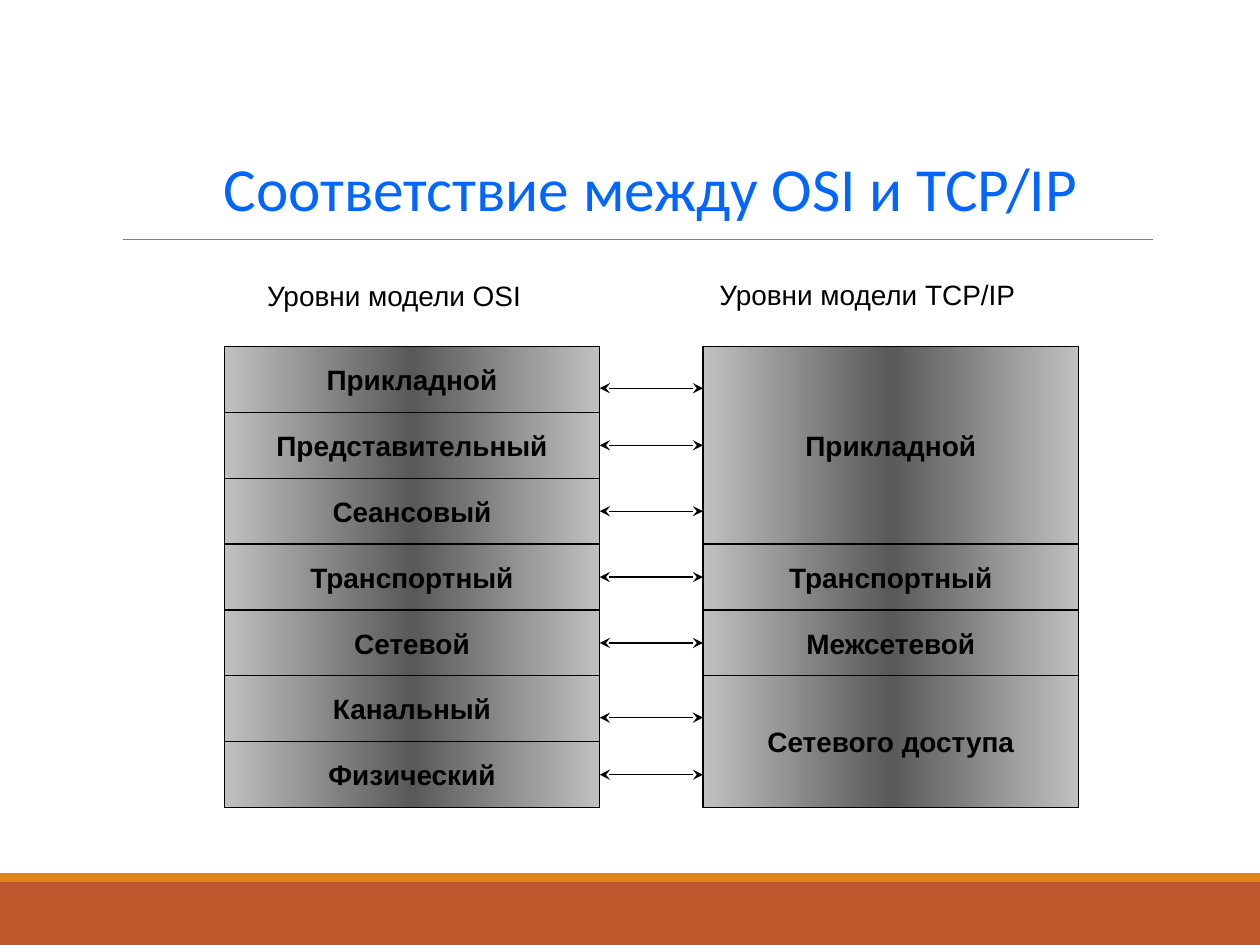
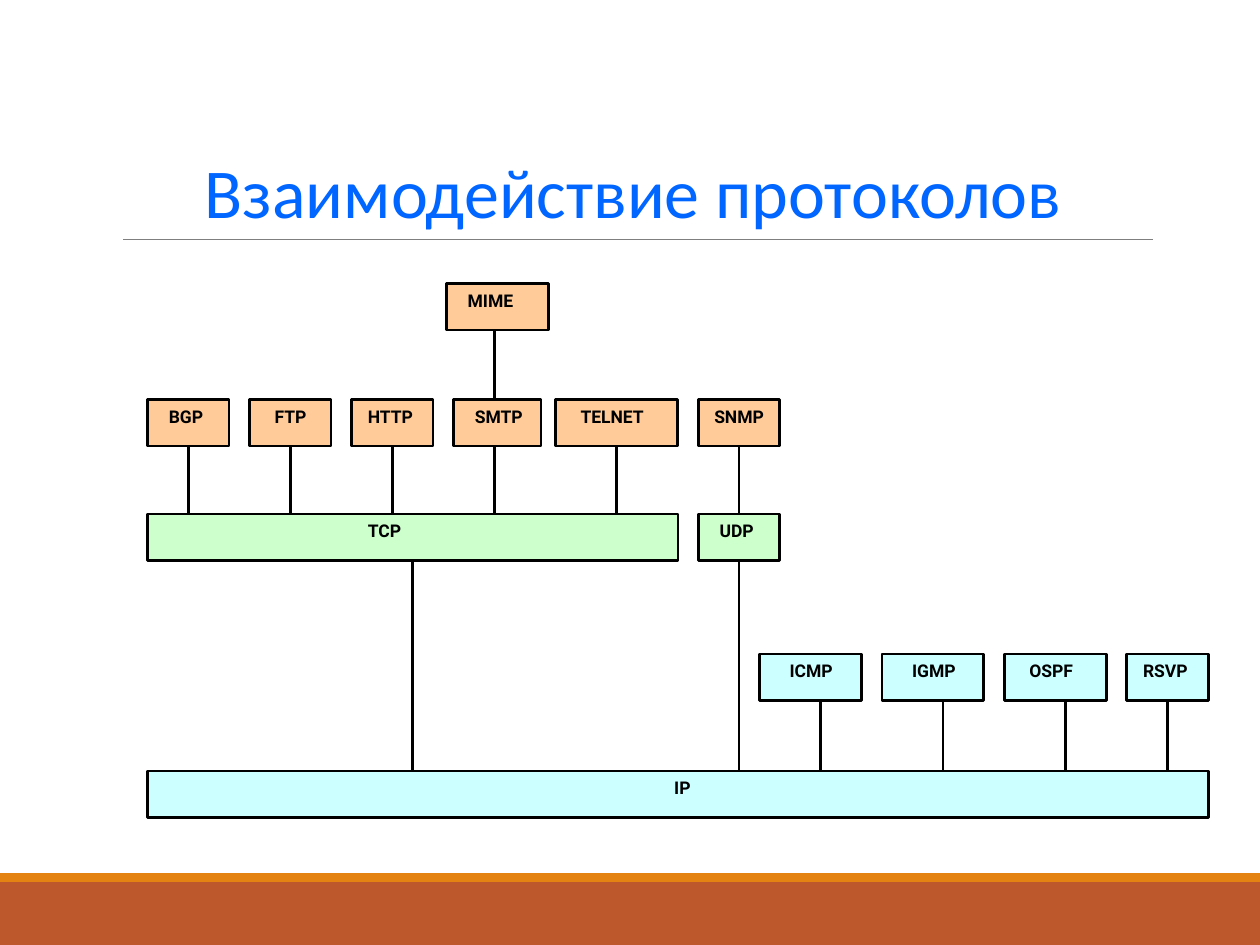
from typing import NamedTuple

from lxml import etree
from pptx import Presentation
from pptx.dml.color import RGBColor
from pptx.enum.shapes import MSO_CONNECTOR, MSO_SHAPE
from pptx.enum.text import MSO_ANCHOR, MSO_AUTO_SIZE, PP_ALIGN
from pptx.oxml.ns import qn
from pptx.util import Inches, Pt

RECT = MSO_SHAPE.RECTANGLE
STRAIGHT = MSO_CONNECTOR.STRAIGHT
LEFT, CENTER = PP_ALIGN.LEFT, PP_ALIGN.CENTER
TOP, MIDDLE, BOTTOM = MSO_ANCHOR.TOP, MSO_ANCHOR.MIDDLE, MSO_ANCHOR.BOTTOM
SITE_TOP, SITE_LEFT, SITE_BOTTOM, SITE_RIGHT = range(4)
TITLE_ONLY = 5

SLIDE_W, SLIDE_H = 10, 7.5
BLACK = "000000"
TITLE_BLUE = "0066FF"
BAND_BROWN, BAND_ORANGE, RULE_GREY = "BD582C", "E48312", "7F7F7F"
STEEL = ((0, "C0C0C0"), (50, "595959"), (100, "C0C0C0"))
PEACH, GREEN, AQUA = "FFCC99", "CCFFCC", "CCFFFF"

# Layer stacks: seven equal rows in two columns
STACK_TOP, ROW_H = 2.75, 3.66 / 7
OSI_X, TCPIP_X, STACK_W = 1.78, 5.58, 2.98

# Protocol map: 52 columns across the IP bar
MAP_X, COL_W = 1.17, 8.42 / 52
LEVEL_TOPS = (2.25, 3.17, 4.08, 5.19, 6.12)
BOX_H = 0.37
BOX_INSET = 0.1


class Layer(NamedTuple):
    name: str
    row: int
    rows: int = 1

    @property
    def middle(self) -> float:
        return self.row + self.rows / 2


class Protocol(NamedTuple):
    name: str
    level: int
    col: float
    cols: float
    fill: str
    indent: float = 0
    align: PP_ALIGN = LEFT

    @property
    def middle(self) -> float:
        return self.col + self.cols / 2


class Link(NamedTuple):
    upper: str
    lower: str
    col: float


OSI_LAYERS = [Layer(name, row) for row, name in enumerate((
    "Прикладной", "Представительный", "Сеансовый", "Транспортный",
    "Сетевой", "Канальный", "Физический"))]
TCPIP_LAYERS = [
    Layer("Прикладной", 0, 3),
    Layer("Транспортный", 3),
    Layer("Межсетевой", 4),
    Layer("Сетевого доступа", 5, 2),
]
ARROW_DROPS = {0: 0.07, 5: 0.07}

PROTOCOLS = [
    Protocol("MIME", 0, 14.65, 5, PEACH, 0.07),
    Protocol("BGP", 1, 0, 4, PEACH, 0.07),
    Protocol("FTP", 1, 5, 4, PEACH, 0.1),
    Protocol("HTTP", 1, 10, 4, PEACH, 0.03),
    Protocol("SMTP", 1, 15, 4.3, PEACH, 0.07),
    Protocol("TELNET", 1, 20, 6, PEACH, 0.1),
    Protocol("SNMP", 1, 27, 4, PEACH, align=CENTER),
    Protocol("TCP", 2, 0, 26, GREEN, 1.65),
    Protocol("UDP", 2, 27, 4, GREEN, 0.07),
    Protocol("ICMP", 3, 30, 5, AQUA, 0.14),
    Protocol("IGMP", 3, 36, 5, AQUA, 0.14),
    Protocol("OSPF", 3, 42, 5, AQUA, 0.1),
    Protocol("RSVP", 3, 48, 4, AQUA, 0.03),
    Protocol("IP", 4, 0, 52, AQUA, 0.07, CENTER),
]
LINKS = [
    Link("MIME", "SMTP", 17),
    Link("BGP", "TCP", 2),
    Link("FTP", "TCP", 7),
    Link("HTTP", "TCP", 12),
    Link("SMTP", "TCP", 17),
    Link("TELNET", "TCP", 23),
    Link("SNMP", "UDP", 29),
    Link("TCP", "IP", 13),
    Link("UDP", "IP", 29),
    Link("ICMP", "IP", 33),
    Link("IGMP", "IP", 39),
    Link("OSPF", "IP", 45),
    Link("RSVP", "IP", 50),
]


def rgb(value: str) -> RGBColor:
    return RGBColor.from_string(value)


def write(sp, text: str, *, size: float, font: str, color: str = BLACK,
          bold: bool = False, align=LEFT, anchor=TOP, spacing: float = 1.0,
          insets: tuple = (0.1, 0.05, 0.1, 0.05)) -> None:
    """Fill a shape with one formatted paragraph; insets run left, top, right, bottom."""
    tf = sp.text_frame
    tf.word_wrap = True
    tf.auto_size = MSO_AUTO_SIZE.NONE
    tf.vertical_anchor = anchor
    (tf.margin_left, tf.margin_top,
     tf.margin_right, tf.margin_bottom) = map(Inches, insets)
    p = tf.paragraphs[0]
    p.alignment, p.line_spacing = align, spacing
    r = p.add_run()
    r.text = text
    r.font.size, r.font.name, r.font.bold = Pt(size), font, bold
    r.font.color.rgb = rgb(color)


def add_rect(s, x: float, y: float, w: float, h: float, fill: str | tuple,
             line_width: float = 0):
    """Draw a rectangle with a plain colour or a tuple of gradient stops."""
    sp = s.shapes.add_shape(RECT, *map(Inches, (x, y, w, h)))
    sp.shadow.inherit = False
    if isinstance(fill, str):
        sp.fill.solid()
        sp.fill.fore_color.rgb = rgb(fill)
    else:
        sp.fill.gradient()
        sp.fill.gradient_angle = 0
        stops = sp._element.spPr.find(".//" + qn("a:gsLst"))
        for old in list(stops):
            stops.remove(old)
        for percent, color in fill:
            stop = etree.SubElement(stops, qn("a:gs"), pos=str(percent * 1000))
            etree.SubElement(stop, qn("a:srgbClr"), val=color)
    if line_width:
        sp.line.color.rgb = rgb(BLACK)
        sp.line.width = Pt(line_width)
    else:
        sp.line.fill.background()
    return sp


def add_line(s, x1: float, y1: float, x2: float, y2: float, width: float,
             color: str = BLACK, arrows: bool = False):
    cxn = s.shapes.add_connector(STRAIGHT, *map(Inches, (x1, y1, x2, y2)))
    cxn.line.color.rgb = rgb(color)
    cxn.line.width = Pt(width)
    if arrows:
        ln = cxn.line._get_or_add_ln()
        for end in ("a:headEnd", "a:tailEnd"):
            etree.SubElement(ln, qn(end), type="stealth")
    etree.SubElement(cxn._element.spPr, qn("a:effectLst"))
    return cxn


def add_slide(prs, title: str, size: float, box: tuple):
    """Add a slide with the footer bands, the rule and its title."""
    s = prs.slides.add_slide(prs.slide_layouts[TITLE_ONLY])
    add_rect(s, 0, 7, SLIDE_W, 0.5, BAND_BROWN)
    add_rect(s, 0, 6.93, SLIDE_W, 0.07, BAND_ORANGE)
    add_line(s, 0.98, 1.9, 9.15, 1.9, 0.5, RULE_GREY)
    sp = s.shapes.title
    sp.left, sp.top, sp.width, sp.height = map(Inches, box)
    write(sp, title, size=size, font="Calibri", color=TITLE_BLUE,
          align=CENTER, anchor=BOTTOM, spacing=0.85)
    return s


def add_label(s, text: str, x: float, y: float, w: float) -> None:
    sp = s.shapes.add_textbox(*map(Inches, (x, y, w, 0.33)))
    write(sp, text, size=16, font="Arial", insets=(0.06, 0.03, 0.06, 0.03))


def add_stack(s, x: float, layers: list[Layer]) -> list:
    boxes = []
    for layer in layers:
        sp = add_rect(s, x, STACK_TOP + layer.row * ROW_H, STACK_W,
                      layer.rows * ROW_H, STEEL, 0.75)
        write(sp, layer.name, size=16, font="Arial", bold=True, align=CENTER,
              anchor=MIDDLE, insets=(0.06, 0.03, 0.06, 0.03))
        boxes.append(sp)
    return boxes


def build_layers_slide(prs) -> None:
    s = add_slide(prs, "Соответствие между OSI и TCP/IP", 35, (0.83, 0.83, 8.67, 1))
    add_label(s, "Уровни модели OSI", OSI_X + 0.28, 2.18, 2.36)
    add_label(s, "Уровни модели TCP/IP", TCPIP_X + 0.07, 2.17, 2.9)
    osi_boxes = add_stack(s, OSI_X, OSI_LAYERS)
    tcpip_boxes = add_stack(s, TCPIP_X, TCPIP_LAYERS)
    by_middle = {layer.middle: sp for layer, sp in zip(TCPIP_LAYERS, tcpip_boxes)}
    for layer, osi_box in zip(OSI_LAYERS, osi_boxes):
        drop = ARROW_DROPS.get(layer.row, 0)
        y = STACK_TOP + layer.middle * ROW_H + drop
        cxn = add_line(s, OSI_X + STACK_W, y, TCPIP_X, y, 0.75, arrows=True)
        if not drop:
            cxn.begin_connect(osi_box, SITE_RIGHT)
            if layer.middle in by_middle:
                cxn.end_connect(by_middle[layer.middle], SITE_LEFT)


def build_protocols_slide(prs) -> None:
    s = add_slide(prs, "Взаимодействие протоколов", 40, (0.9, 0.31, 8.25, 1.59))
    protocols = {protocol.name: protocol for protocol in PROTOCOLS}
    boxes = {}
    for name, protocol in protocols.items():
        sp = add_rect(s, MAP_X + protocol.col * COL_W, LEVEL_TOPS[protocol.level],
                      protocol.cols * COL_W, BOX_H, protocol.fill, 1.5)
        write(sp, name, size=10, font="Roboto", bold=True, align=protocol.align,
              insets=(BOX_INSET + protocol.indent, 0.05, BOX_INSET, 0.05))
        boxes[name] = sp
    for link in LINKS:
        upper, lower = protocols[link.upper], protocols[link.lower]
        x = MAP_X + link.col * COL_W
        cxn = add_line(s, x, LEVEL_TOPS[upper.level] + BOX_H,
                       x, LEVEL_TOPS[lower.level], 1.5)
        if upper.middle == link.col:
            cxn.begin_connect(boxes[link.upper], SITE_BOTTOM)
        if lower.middle == link.col:
            cxn.end_connect(boxes[link.lower], SITE_TOP)


def main() -> None:
    prs = Presentation()
    prs.slide_width, prs.slide_height = Inches(SLIDE_W), Inches(SLIDE_H)
    build_layers_slide(prs)
    build_protocols_slide(prs)
    prs.save("out.pptx")


if __name__ == "__main__":
    main()
